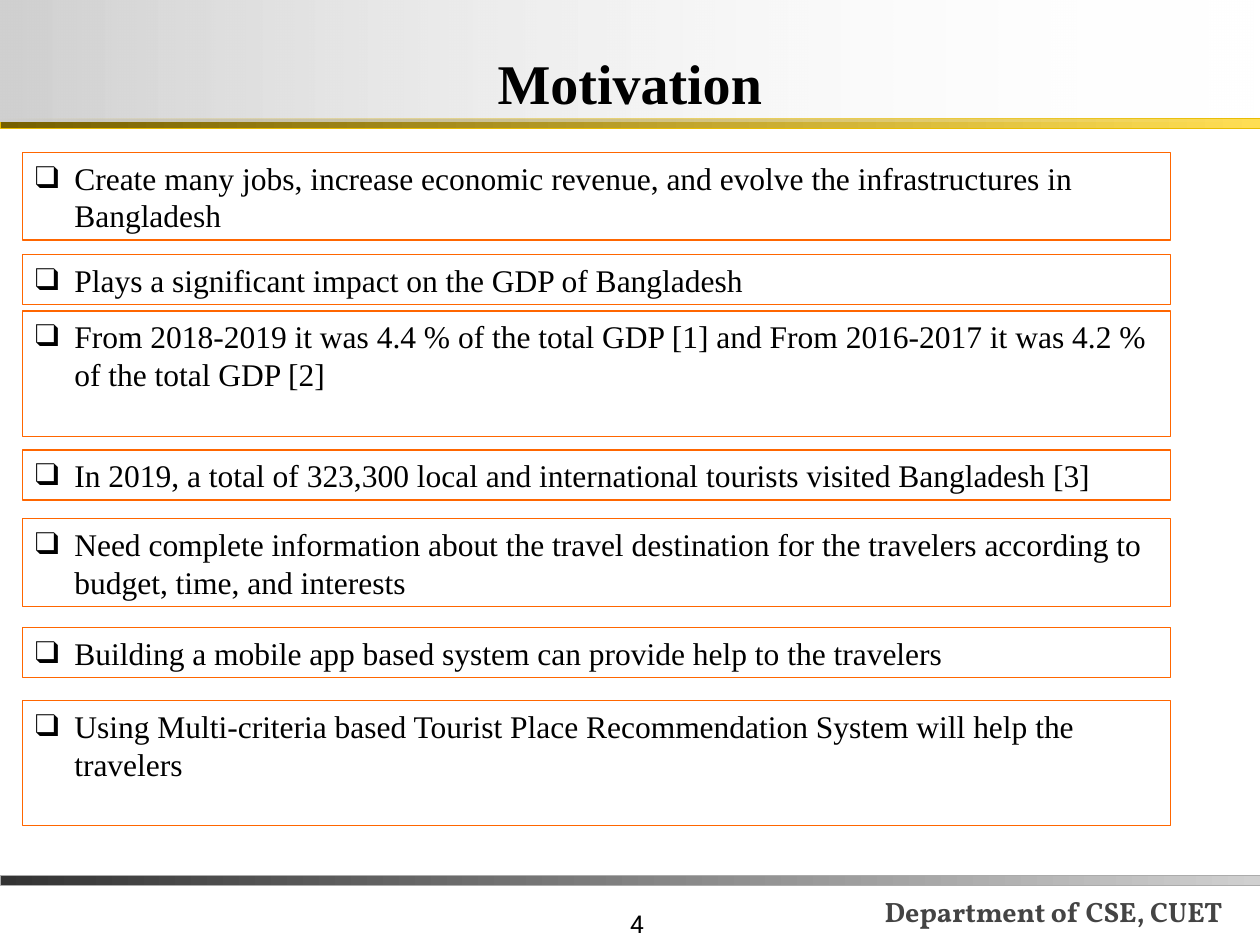
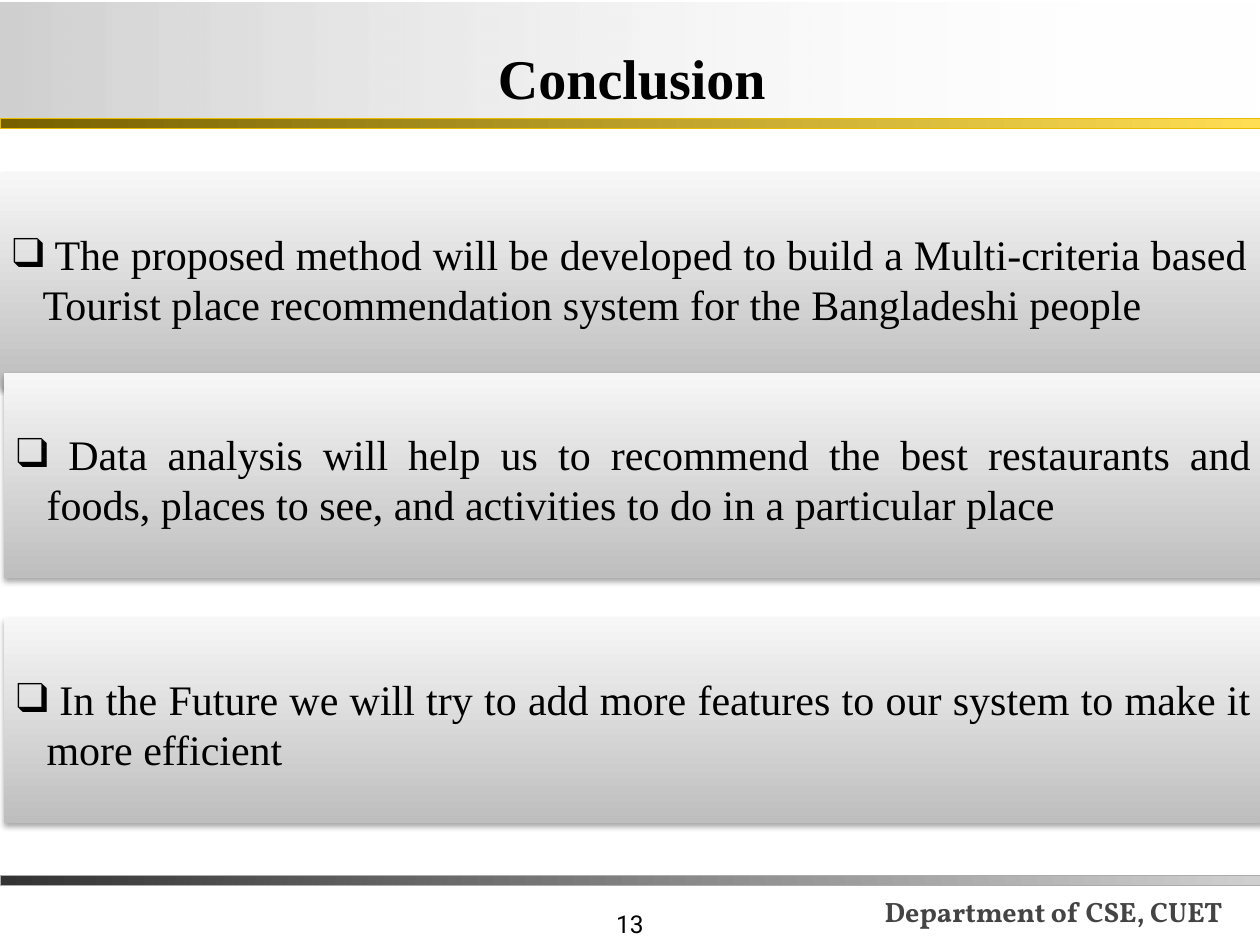
from pptx import Presentation
from pptx.dml.color import RGBColor
from pptx.enum.shapes import MSO_SHAPE as Shape
from pptx.enum.text import MSO_ANCHOR as Anchor, MSO_AUTO_SIZE as AutoSize, PP_ALIGN as Align
from pptx.oxml.ns import qn
from pptx.oxml.xmlchemy import OxmlElement
from pptx.util import Cm, Pt

BLACK = RGBColor(0x00, 0x00, 0x00)
WHITE = RGBColor(0xFF, 0xFF, 0xFF)
CHARCOAL = RGBColor(0x33, 0x33, 0x33)
FOOTER_GREY = RGBColor(0x44, 0x44, 0x44)
EDGE_GREY = RGBColor(0xAB, 0xAB, 0xAB)
CARD_GREY = RGBColor(0xBE, 0xBE, 0xBE)
LIGHT_GREY = RGBColor(0xD0, 0xD0, 0xD0)
PALE_GREY = RGBColor(0xF7, 0xF7, 0xF7)
DARK_GOLD = RGBColor(0x76, 0x60, 0x00)
GOLD = RGBColor(0xFF, 0xDE, 0x53)
EDGE_GOLD = RGBColor(0xE8, 0xBC, 0x00)
ORANGE = RGBColor(0xFF, 0x66, 0x00)

SERIF = "Times New Roman"
TITLE_FONT = {"name": SERIF, "size": Pt(32), "bold": True}
ITEM_FONT = {"name": SERIF, "size": Pt(18)}
CARD_FONT = {"name": SERIF, "size": Pt(24)}
NUMBER_FONT = {"name": "Roboto", "size": Pt(14)}
FOOTER_FONT = {"name": "Vollkorn", "size": Pt(16), "bold": True}
FRAME = {"word_wrap": True, "auto_size": AutoSize.NONE,
         "margin_left": Cm(0.25), "margin_right": Cm(0.25),
         "margin_top": Cm(0.13), "margin_bottom": Cm(0.13)}

PAGE_WIDTH = 25.4
LINE_HEIGHT = 0.76

# Top edge in cm, height in text lines, wording
MOTIVATION = [
    (3.07, 2, "Create many jobs, increase economic revenue, and evolve the "
              "infrastructures in Bangladesh"),
    (5.13, 1, "Plays a significant impact on the GDP of Bangladesh"),
    (6.27, 3, "From 2018-2019 it was 4.4 % of the total GDP [1] and From "
              "2016-2017 it was 4.2 % of the total GDP [2]"),
    (9.07, 1, "In 2019, a total of 323,300 local and international tourists "
              "visited Bangladesh [3]"),
    (10.46, 2, "Need complete information about the travel destination for the "
               "travelers according to budget, time, and interests"),
    (12.65, 1, "Building a mobile app based system can provide help to the travelers"),
    (14.12, 3, "Using Multi-criteria based Tourist Place Recommendation System "
               "will help the travelers"),
]

# Left, top and height in cm, wording
CONCLUSION = [
    (0, 3.48, 4.32, " The proposed method will be developed to build a Multi-criteria "
                    "based Tourist place recommendation system for the Bangladeshi people"),
    (0.08, 7.52, 4.14, " Data analysis will help us to recommend the best restaurants "
                       "and foods, places to see, and activities to do in a particular place"),
    (0.08, 12.45, 4.14, " In the Future we will try to add more features to our system "
                        "to make it more efficient"),
]


def apply(target, values):
    for name, value in values.items():
        setattr(target, name, value)


def add_xml(parent, tag, **attributes):
    child = OxmlElement(tag)
    for name, value in attributes.items():
        child.set(name, str(value))
    parent.append(child)
    return child


class DeckBuilder:
    def __init__(self):
        self.deck = Presentation()
        self.deck.slide_width, self.deck.slide_height = Cm(PAGE_WIDTH), Cm(19.05)
        self.page = None

    def start_page(self, number):
        self.page = self.deck.slides.add_slide(self.deck.slide_layouts[5])
        self.label(7.95, 17.78, 5.28, 1.27, str(number), NUMBER_FONT, BLACK, Align.RIGHT)
        self.label(16.87, 17.27, 8.74, 1.57, "Department of CSE, CUET",
                   FOOTER_FONT, FOOTER_GREY, Align.CENTER)
        self.band(17.65, (CHARCOAL, LIGHT_GREY), EDGE_GREY)
        self.band(2.39, (DARK_GOLD, GOLD), EDGE_GOLD)

    def set_text(self, box, text, font, color=BLACK, align=Align.LEFT,
                 anchor=Anchor.TOP, **frame):
        apply(box.text_frame, {**FRAME, "vertical_anchor": anchor, **frame})
        para = box.text_frame.paragraphs[0]
        para.alignment = align
        span = para.add_run()
        span.text = text
        apply(span.font, font)
        span.font.color.rgb = color
        return para

    def label(self, left, top, width, height, text, font, color, align):
        box = self.page.shapes.add_textbox(Cm(left), Cm(top), Cm(width), Cm(height))
        self.set_text(box, text, font, color, align, Anchor.BOTTOM)

    def rectangle(self, left, top, width, height):
        box = self.page.shapes.add_shape(
            Shape.RECTANGLE, Cm(left), Cm(top), Cm(width), Cm(height))
        box.shadow.inherit = False
        return box

    def gradient(self, box, colors, angle=0):
        box.fill.gradient()
        box.fill.gradient_angle = angle
        for stop, color in zip(box.fill.gradient_stops, colors):
            stop.color.rgb = color

    def outline(self, box, color, width):
        box.line.color.rgb = color
        box.line.width = Pt(width)

    def band(self, top, colors, edge):
        box = self.rectangle(0, top, PAGE_WIDTH, 0.2)
        self.gradient(box, colors)
        self.outline(box, edge, 0.25)

    def title(self, text, top=0, width=PAGE_WIDTH, height=2.46):
        box = self.page.shapes.title
        apply(box, {"left": Cm(0), "top": Cm(top), "width": Cm(width), "height": Cm(height)})
        self.gradient(box, (LIGHT_GREY, WHITE))
        # The white end fades out so the gold band stays visible
        white_end = list(box.element.spPr.iter(qn("a:srgbClr")))[-1]
        add_xml(white_end, "a:alpha", val=0)
        self.set_text(box, text, TITLE_FONT, align=Align.CENTER, anchor=Anchor.BOTTOM)
        # Bring the title in front of the bands
        self.page.shapes.element.append(box.element)

    def bullet(self, para, indent):
        props = para._p.get_or_add_pPr()
        props.set("marL", str(Cm(indent)))
        props.set("indent", str(-Cm(indent)))
        add_xml(add_xml(props, "a:buClr"), "a:srgbClr", val=BLACK)
        add_xml(props, "a:buFont", typeface=SERIF)
        add_xml(props, "a:buChar", char="❑")

    def item(self, top, lines, text):
        box = self.rectangle(0.46, top, 23.14, lines * LINE_HEIGHT + 0.25)
        box.fill.solid()
        box.fill.fore_color.rgb = WHITE
        self.outline(box, ORANGE, 0)
        self.bullet(self.set_text(box, text, ITEM_FONT), 0.79)

    def card(self, left, top, height, text):
        box = self.rectangle(left, top, PAGE_WIDTH, height)
        self.gradient(box, (CARD_GREY, PALE_GREY), 90)
        box.line.fill.background()
        self.drop_shadow(box)
        para = self.set_text(box, text, CARD_FONT, align=Align.JUSTIFY, margin_top=Cm(1.12))
        self.bullet(para, 0.61)

    def drop_shadow(self, box):
        effects = box.element.spPr.find(qn("a:effectLst"))
        shadow = add_xml(effects, "a:outerShdw", blurRad=Pt(3.1), dist=Pt(1.8),
                         dir=90 * 60000, rotWithShape=0)
        add_xml(add_xml(shadow, "a:srgbClr", val=BLACK), "a:alpha", val=35000)


def main():
    builder = DeckBuilder()

    # Motivation
    builder.start_page(4)
    builder.title("Motivation")
    for item in MOTIVATION:
        builder.item(*item)

    # Conclusion
    builder.start_page(13)
    builder.title("Conclusion", top=0.05, width=25.48, height=2.31)
    for card in CONCLUSION:
        builder.card(*card)

    builder.deck.save("out.pptx")


if __name__ == "__main__":
    main()
